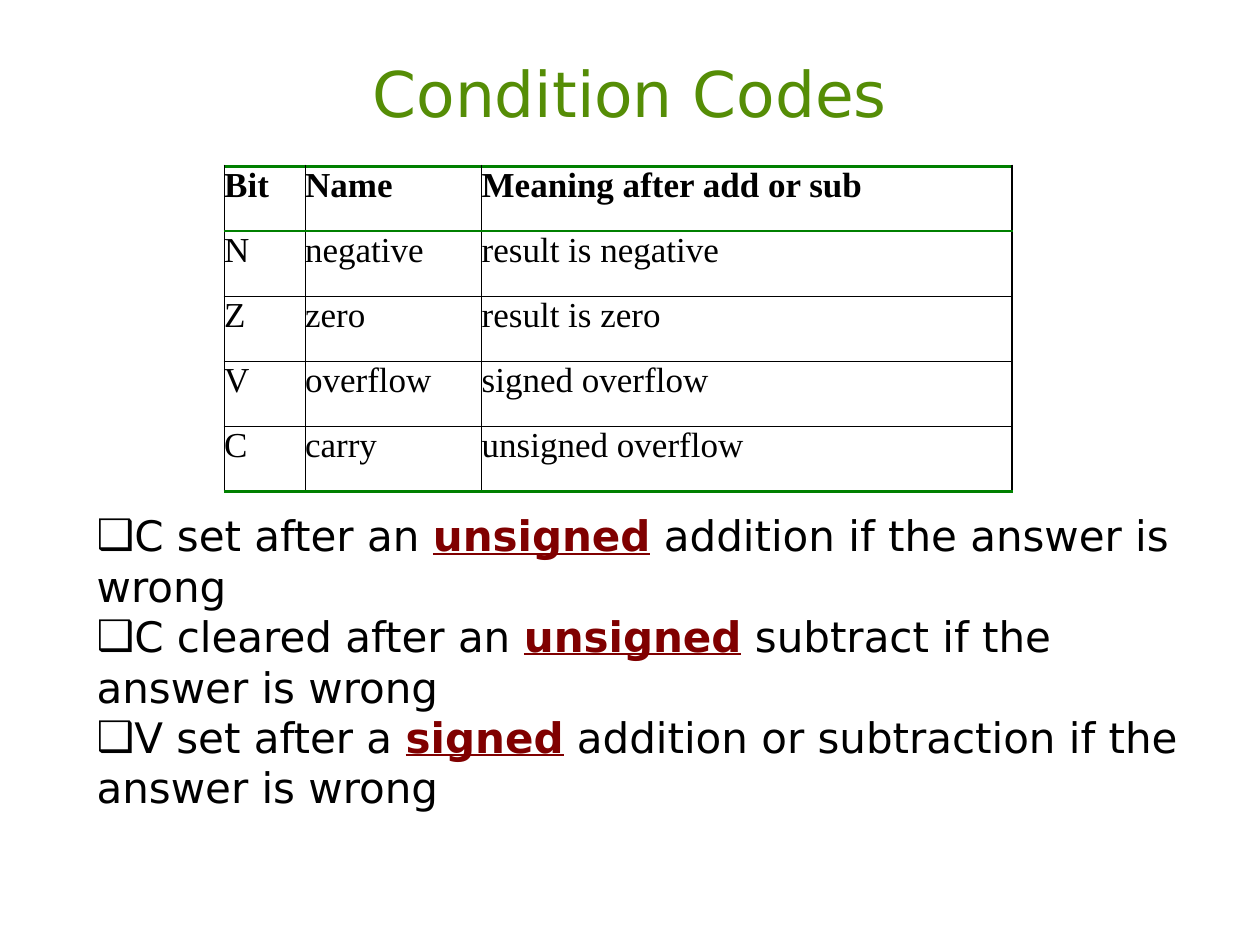
from lxml.etree import SubElement
from pptx import Presentation
from pptx.dml.color import RGBColor
from pptx.enum.text import MSO_ANCHOR, PP_ALIGN
from pptx.oxml.ns import qn
from pptx.util import Cm, Pt

BLACK = RGBColor(0x00, 0x00, 0x00)
TITLE_GREEN = RGBColor(0x55, 0x8D, 0x06)
RULE_GREEN = RGBColor(0x00, 0x80, 0x00)
MAROON = RGBColor(0x80, 0x00, 0x00)
SANS = "DejaVu Sans"
SERIF = "Times New Roman"

CODES = [
    ("Bit", "Name", "Meaning after add or sub"),
    ("N", "negative", "result is negative"),
    ("Z", "zero", "result is zero"),
    ("V", "overflow", "signed overflow"),
    ("C", "carry", "unsigned overflow"),
]
COLUMN_WIDTHS = [Cm(1.63), Cm(3.56), Cm(10.69)]
ROW_HEIGHT = Cm(1.31)
THIN = (BLACK, 0.75)
HEADER_RULE = (RULE_GREEN, 1)
OUTER_RULE = (RULE_GREEN, 2)
ROW_RULES = [OUTER_RULE, HEADER_RULE, THIN, THIN, THIN, OUTER_RULE]

RULES = [
    ("C set after an ", "unsigned", " addition if the answer is wrong"),
    ("C cleared after an ", "unsigned", " subtract if the answer is wrong"),
    ("V set after a ", "signed", " addition or subtraction if the answer is wrong"),
]


def add_span(para, text, *, size, font=SANS, color=BLACK, bold=False, underline=False):
    span = para.add_run()
    span.text = text
    span.font.size = Pt(size)
    span.font.name = font
    span.font.color.rgb = color
    span.font.bold = bold
    span.font.underline = underline


def add_box(page, left, top, width, height, anchor):
    frame = page.shapes.add_textbox(left, top, width, height).text_frame
    frame.word_wrap = True
    frame.vertical_anchor = anchor
    return frame


def add_title(page, text):
    frame = add_box(page, Cm(1.27), Cm(0.76), Cm(22.86), Cm(2.21), MSO_ANCHOR.MIDDLE)
    para = frame.paragraphs[0]
    para.alignment = PP_ALIGN.CENTER
    add_span(para, text, size=36, color=TITLE_GREEN)


def set_bullet(para, symbol):
    properties = para._p.get_or_add_pPr()
    properties.set("marL", "0")
    properties.set("indent", "0")
    color = SubElement(properties, qn("a:buClr"))
    SubElement(color, qn("a:srgbClr"), val=str(BLACK))
    SubElement(properties, qn("a:buFont"), typeface=SANS)
    SubElement(properties, qn("a:buChar"), char=symbol)


def add_rules(page):
    frame = add_box(page, Cm(1.7), Cm(10.08), Cm(22.45), Cm(7.24), MSO_ANCHOR.TOP)
    frame.margin_top = Cm(0.2)
    for index, (start, keyword, end) in enumerate(RULES):
        para = frame.add_paragraph() if index else frame.paragraphs[0]
        set_bullet(para, "❑")
        add_span(para, start, size=24)
        add_span(para, keyword, size=24, color=MAROON, bold=True, underline=True)
        add_span(para, end, size=24)


def set_borders(cell, above, below):
    properties = cell._tc.get_or_add_tcPr()
    borders = {"lnL": THIN, "lnR": THIN, "lnT": above, "lnB": below}
    for side, (color, width) in borders.items():
        line = SubElement(properties, qn(f"a:{side}"), w=str(Pt(width)))
        fill = SubElement(line, qn("a:solidFill"))
        SubElement(fill, qn("a:srgbClr"), val=str(color))


def fill_cell(cell, text, row):
    cell.margin_left = cell.margin_right = cell.margin_top = cell.margin_bottom = 0
    set_borders(cell, ROW_RULES[row], ROW_RULES[row + 1])
    cell.fill.background()
    para = cell.text_frame.paragraphs[0]
    para.alignment = PP_ALIGN.JUSTIFY
    add_span(para, text, size=20, font=SERIF, bold=row == 0)


def add_code_table(page):
    table = page.shapes.add_table(
        len(CODES), len(COLUMN_WIDTHS), Cm(4.52), Cm(3.35),
        sum(COLUMN_WIDTHS), ROW_HEIGHT * len(CODES),
    ).table
    table.first_row = False
    table.horz_banding = False
    for column, width in zip(table.columns, COLUMN_WIDTHS):
        column.width = width
    for row, texts in enumerate(CODES):
        table.rows[row].height = ROW_HEIGHT
        for column, text in enumerate(texts):
            fill_cell(table.cell(row, column), text, row)


def main():
    deck = Presentation()
    deck.slide_width = Cm(25.4)
    deck.slide_height = Cm(19.05)
    page = deck.slides.add_slide(deck.slide_layouts[6])
    add_title(page, "Condition Codes")
    add_rules(page)
    add_code_table(page)
    deck.save("out.pptx")


if __name__ == "__main__":
    main()
